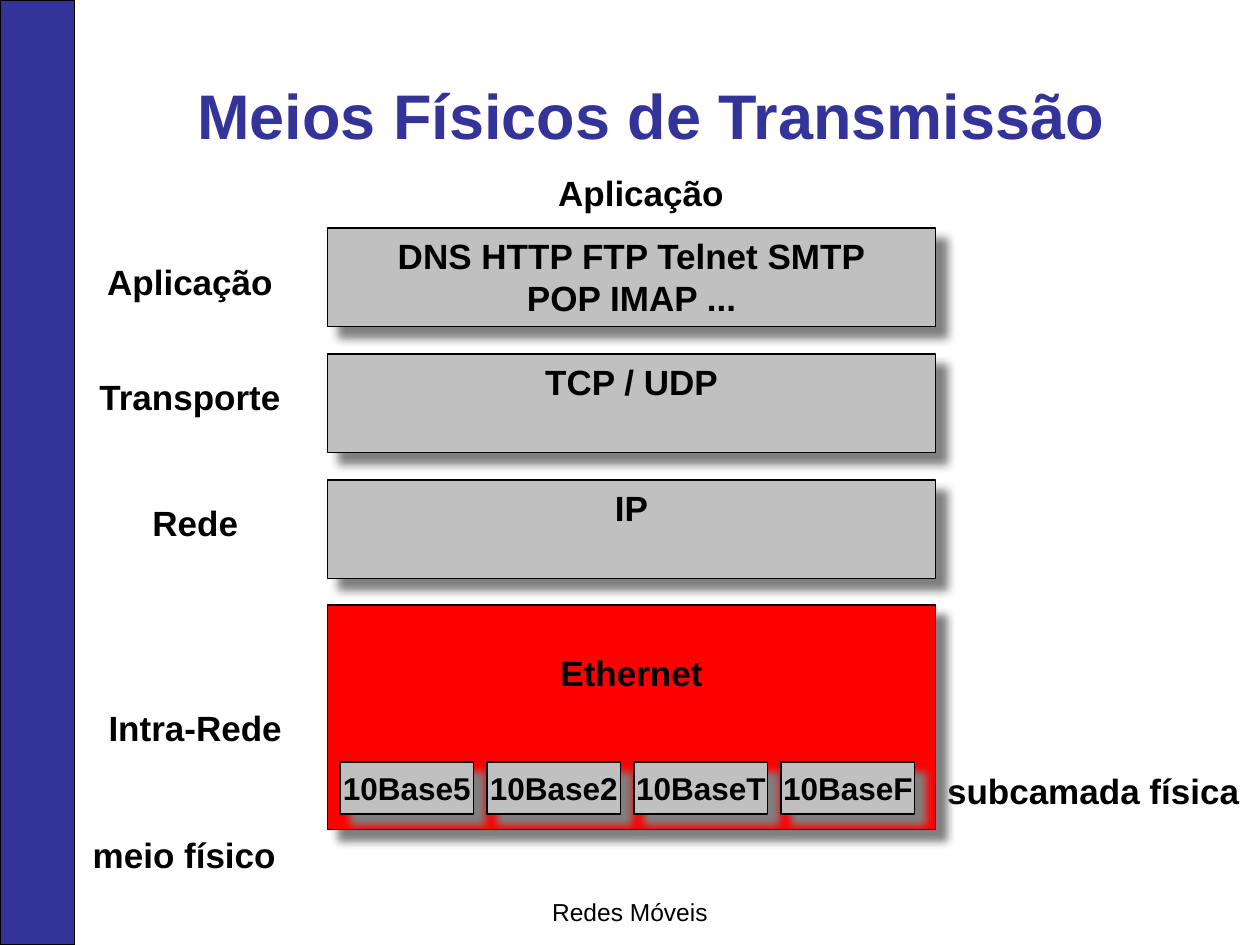
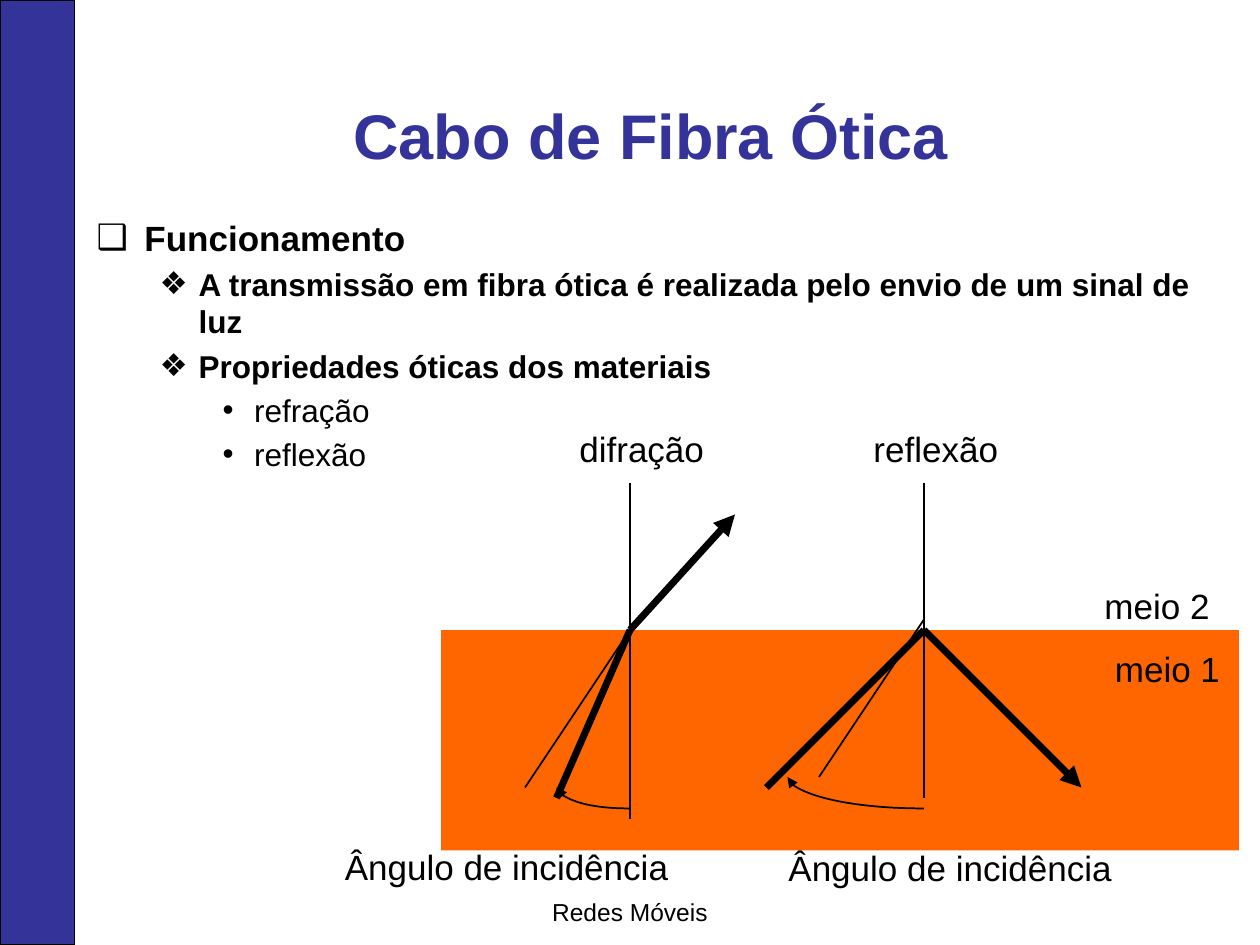
import pptx
import pptx.util
import pptx.dml.color
import pptx.enum.shapes
import pptx.enum.text
import pptx.oxml
import pptx.oxml.ns
import lxml.etree

COLOURS = {
    "indigo": "333399",
    "black": "000000",
    "silver": "C0C0C0",
    "shade": "808080",
    "red": "FF0000",
    "orange": "FF6600",
}
RGB = {name: pptx.dml.color.RGBColor.from_string(code) for name, code in COLOURS.items()}
RECTANGLE = pptx.enum.shapes.MSO_SHAPE.RECTANGLE
STRAIGHT = pptx.enum.shapes.MSO_CONNECTOR.STRAIGHT
CURVE = pptx.enum.shapes.MSO_CONNECTOR.CURVE
LEFT = pptx.enum.text.PP_ALIGN.LEFT
CENTER = pptx.enum.text.PP_ALIGN.CENTER
qn = pptx.oxml.ns.qn
COLUMNS, ROWS = 120, 90

presentation = pptx.Presentation()
presentation.slide_width = pptx.util.Inches(10)
presentation.slide_height = pptx.util.Inches(7.5)
column = presentation.slide_width / COLUMNS
row = presentation.slide_height / ROWS


def area(*cells):
    steps = (column, row, column, row)
    return [pptx.util.Emu(round(cell * step)) for cell, step in zip(cells, steps)]


def write(shape, lines, size=20, bold=False, align=CENTER, side=0.1, top=0.05, colour="black"):
    frame = shape.text_frame
    frame.word_wrap = True
    frame.auto_size = pptx.enum.text.MSO_AUTO_SIZE.NONE
    frame.vertical_anchor = pptx.enum.text.MSO_ANCHOR.TOP
    frame.margin_left = frame.margin_right = pptx.util.Inches(side)
    frame.margin_top = pptx.util.Inches(top)
    frame.margin_bottom = pptx.util.Inches(0.05)
    paragraph = frame.paragraphs[0]
    paragraph.alignment = align
    for number, line in enumerate(lines.split("\n")):
        if number:
            paragraph.add_line_break()
        run = paragraph.add_run()
        run.text = line
        run.font.name = "Arial"
        run.font.size = pptx.util.Pt(size)
        run.font.bold = bold
        run.font.color.rgb = RGB[colour]


pages = [
    ("Meios Físicos de Transmissão", 5, 6.2, 8.9),
    ("Cabo de Fibra Ótica", 1, 2.5, 14.5),
]
slides = []
for heading, layout, top, height in pages:
    slide = presentation.slides.add_slide(presentation.slide_layouts[layout])
    band = slide.shapes.add_shape(RECTANGLE, *area(0, 0, 7.1, ROWS))
    band.shadow.inherit = False
    band.fill.solid()
    band.fill.fore_color.rgb = RGB["indigo"]
    band.line.color.rgb = RGB["black"]
    band.line.width = pptx.util.Pt(0.75)
    footer = slide.shapes.add_textbox(*area(0, 84.8, COLUMNS, 4.1))
    write(footer, "Redes Móveis", size=14)
    title = slide.shapes.title
    title.left, title.top, title.width, title.height = area(5, top, 114, height)
    write(title, heading, size=36, bold=True, colour="indigo")
    title.text_frame.vertical_anchor = pptx.enum.text.MSO_ANCHOR.BOTTOM
    slides.append(slide)
media, fibre = slides

layer_labels = [
    ("Aplicação", 48.1, 15.7, 25.9),
    ("Aplicação", 6.1, 24.2, 24),
    ("Transporte", 6.1, 35.2, 24),
    ("Rede", 6.1, 47.2, 25),
    ("Intra-Rede", 6.1, 66.7, 25),
    ("meio físico", 6.1, 78.8, 22.9),
]
for words, left, top, width in layer_labels:
    write(media.shapes.add_textbox(*area(left, top, width, 5.2)), words, bold=True)
sublayer = media.shapes.add_textbox(*area(90.2, 72.7, 29, 5.2))
write(sublayer, "subcamada física", bold=True, align=LEFT, side=0)

protocols = ["DNS HTTP FTP Telnet SMTP\nPOP IMAP ...", "TCP / UDP", "IP"]
cables = ["10Base5", "10Base2", "10BaseT", "10BaseF"]
blocks = [
    (words, 31.2, 21.7 + 12 * level, 57.9, 9.4, "silver", 20, 0.1, 0.05)
    for level, words in enumerate(protocols)
]
blocks.append(("Ethernet", 31.2, 57.6, 57.9, 21.4, "red", 20, 0, 0.37))
blocks += [
    (words, 32.4 + 14 * place, 72.6, 12.7, 4.9, "silver", 18, 0, 0.05)
    for place, words in enumerate(cables)
]
for words, left, top, width, height, colour, size, side, inset in blocks:
    block = media.shapes.add_shape(RECTANGLE, *area(left, top, width, height))
    block.fill.solid()
    block.fill.fore_color.rgb = RGB[colour]
    block.line.color.rgb = RGB["black"]
    block.line.width = pptx.util.Pt(1)
    block.shadow.inherit = False
    effects = block._element.spPr.find(qn("a:effectLst"))
    cast = lxml.etree.SubElement(
        effects, qn("a:outerShdw"),
        blurRad=str(pptx.util.Pt(5)), dist=str(pptx.util.Pt(8.5)),
        dir="2700000", algn="ctr", rotWithShape="0",
    )
    lxml.etree.SubElement(cast, qn("a:srgbClr"), val=COLOURS["shade"])
    write(block, words, size=size, bold=True, side=side, top=inset)

topics = [
    (0, "Funcionamento"),
    (1, "A transmissão em fibra ótica é realizada pelo envio de um sinal de luz"),
    (1, "Propriedades óticas dos materiais"),
    (2, "refração"),
    (2, "reflexão"),
]
topic_styles = [
    ("❑", 0.38, 0.38, 20, True),
    ("❖", 0.81, 0.31, 18, True),
    ("•", 1.25, 0.25, 18, False),
]
outline = fibre.placeholders[1]
outline.left, outline.top, outline.width, outline.height = area(8, 20, 111, 63.7)
outline.text_frame.auto_size = pptx.enum.text.MSO_AUTO_SIZE.NONE
for number, (level, words) in enumerate(topics):
    symbol, margin, hang, size, bold = topic_styles[level]
    frame = outline.text_frame
    topic = frame.add_paragraph() if number else frame.paragraphs[0]
    topic.level = level
    properties = topic._p.get_or_add_pPr()
    properties.set("marL", str(pptx.util.Inches(margin)))
    properties.set("indent", str(-pptx.util.Inches(hang)))
    bullet_colour = lxml.etree.SubElement(properties, qn("a:buClr"))
    lxml.etree.SubElement(bullet_colour, qn("a:srgbClr"), val=COLOURS["black"])
    lxml.etree.SubElement(properties, qn("a:buFont"), typeface="Arial")
    lxml.etree.SubElement(properties, qn("a:buChar"), char=symbol)
    topic.space_before = pptx.util.Pt(3.6 if number else 0)
    run = topic.add_run()
    run.text = words
    run.font.name = "Arial"
    run.font.size = pptx.util.Pt(size)
    run.font.bold = bold
    run.font.color.rgb = RGB["black"]

medium = fibre.shapes.add_shape(RECTANGLE, *area(42, 60, 76, 21))
medium.shadow.inherit = False
medium.fill.solid()
medium.fill.fore_color.rgb = RGB["orange"]
medium.line.fill.background()

optics_labels = [
    ("meio 1", 105, 61.1, 13, LEFT),
    ("meio 2", 104, 55.1, 16, LEFT),
    ("difração", 54, 40.1, 16, LEFT),
    ("reflexão", 82, 40.1, 16, LEFT),
    ("Ângulo de incidência", 25.1, 79.9, 46.3, CENTER),
    ("Ângulo de incidência", 69, 80, 43, CENTER),
]
for words, left, top, width, align in optics_labels:
    write(fibre.shapes.add_textbox(*area(left, top, width, 5.2)), words, align=align)

rays = [
    (STRAIGHT, (60, 46, 60, 78), 1, False),
    (STRAIGHT, (53, 76, 60, 60), 4, False),
    (STRAIGHT, (60, 60, 70, 49), 4, True),
    (STRAIGHT, (88, 46, 88, 76), 1, False),
    (STRAIGHT, (73, 75, 88, 60), 4, False),
    (STRAIGHT, (88, 60, 103, 75), 4, True),
    (CURVE, (60, 77, 53, 75), 1, True),
    (STRAIGHT, (50, 75, 60, 60), 1, False),
    (STRAIGHT, (78, 74, 88, 59), 1, False),
    (CURVE, (88, 77, 75, 74), 1, True),
]
for kind, ends, weight, arrow in rays:
    ray = fibre.shapes.add_connector(kind, *area(*ends))
    ray.line.color.rgb = RGB["black"]
    ray.line.width = pptx.util.Pt(weight)
    drawing = ray._element.spPr
    if kind == CURVE:
        drawing.find(qn("a:prstGeom")).set("prst", "curvedConnector2")
    if arrow:
        lxml.etree.SubElement(drawing.find(qn("a:ln")), qn("a:tailEnd"), type="triangle")
    lxml.etree.SubElement(drawing, qn("a:effectLst"))

presentation.save("out.pptx")
